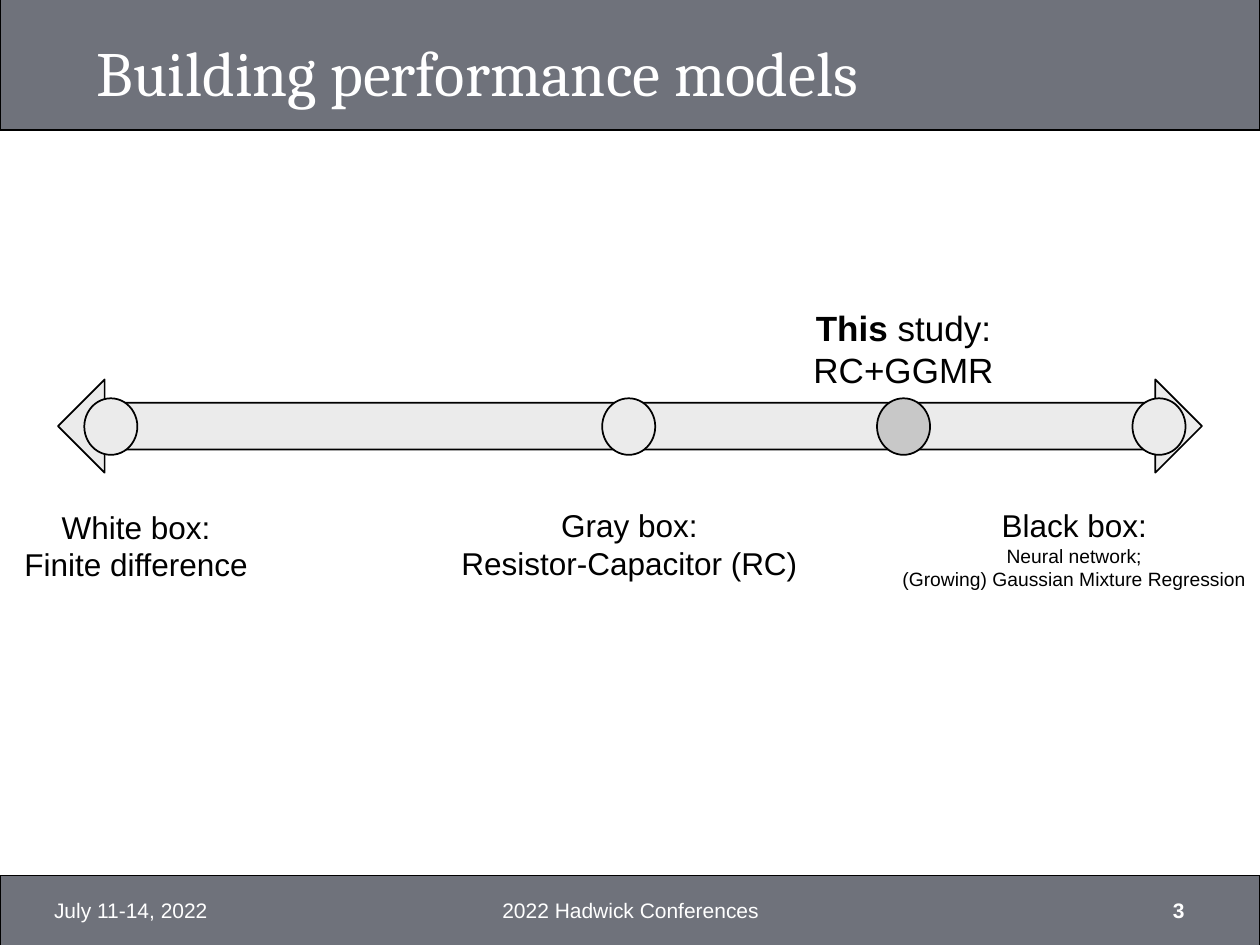
from pptx import Presentation
from pptx.dml.color import RGBColor
from pptx.enum.shapes import MSO_SHAPE
from pptx.enum.text import MSO_ANCHOR, MSO_AUTO_SIZE, PP_ALIGN
from pptx.util import Cm, Pt

BAND, PALE, STUDY = "6F727B", "EBEBEB", "C8C8C8"
BLACK, WHITE = "000000", "FFFFFF"
BREAK = None


def color(hex_code):
    return RGBColor.from_string(hex_code)


def add_outlined(slide, kind, left, top, width, height, fill):
    shape = slide.shapes.add_shape(kind, Cm(left), Cm(top), Cm(width), Cm(height))
    shape.shadow.inherit = False
    shape.fill.solid()
    shape.fill.fore_color.rgb = color(fill)
    shape.line.color.rgb = color(BLACK)
    shape.line.width = Pt(1)
    return shape


def add_run(paragraph, text, size, hex_code=BLACK, bold=False, font="Arial"):
    run = paragraph.add_run()
    run.text = text
    run.font.name = font
    run.font.size = Pt(size)
    run.font.bold = bold
    run.font.color.rgb = color(hex_code)


def add_text(slide, left, top, width, height, paragraphs, align=PP_ALIGN.CENTER,
             anchor=MSO_ANCHOR.TOP, hex_code=BLACK, wrap=True):
    """Each paragraph is a list of (text, size, bold) runs or BREAK."""
    frame = slide.shapes.add_textbox(
        Cm(left), Cm(top), Cm(width), Cm(height)).text_frame
    frame.word_wrap = wrap
    frame.vertical_anchor = anchor
    for index, runs in enumerate(paragraphs):
        paragraph = frame.add_paragraph() if index else frame.paragraphs[0]
        paragraph.alignment = align
        for part in runs:
            if part is BREAK:
                paragraph.add_line_break()
            else:
                text, size, bold = part
                add_run(paragraph, text, size, hex_code, bold)


def add_title(slide, text):
    title = slide.shapes.title
    title.left, title.top, title.width, title.height = (
        Cm(1.7), Cm(0.43), Cm(21.95), Cm(1.9))
    frame = title.text_frame
    frame.auto_size = MSO_AUTO_SIZE.NONE
    frame.vertical_anchor = MSO_ANCHOR.BOTTOM
    frame.paragraphs[0].alignment = PP_ALIGN.LEFT
    add_run(frame.paragraphs[0], text, 36, WHITE, font="Cambria")


def add_bands(slide):
    for top, height in ((17.65, 1.42), (-0.05, 2.67)):
        band = add_outlined(slide, MSO_SHAPE.RECTANGLE, 0, top, 25.4, height, BAND)
        # Keep the bands behind the title
        slide.shapes.title.element.addprevious(band.element)


def add_footer(slide):
    for left, width, text, align, bold in (
            (0.84, 5.92, "July 11-14, 2022", PP_ALIGN.LEFT, False),
            (18.21, 5.92, "3", PP_ALIGN.RIGHT, True),
            (8.69, 8.05, "2022 Hadwick Conferences", PP_ALIGN.CENTER, False)):
        add_text(slide, left, 17.83, width, 1.02, [[(text, 12, bold)]],
                 align, MSO_ANCHOR.MIDDLE, WHITE)


def add_spectrum(slide):
    # Axis from white box to black box
    add_outlined(slide, MSO_SHAPE.LEFT_RIGHT_ARROW, 1.17, 7.65, 23.06, 1.88, PALE)
    for left, fill in ((12.14, PALE), (1.7, PALE), (22.83, PALE), (17.68, STUDY)):
        add_outlined(slide, MSO_SHAPE.OVAL, left, 8.03, 1.07, 1.14, fill)

    # Model families below the axis
    add_text(slide, 0.13, 10.11, 5.23, 1.8, [
        [("White box:", 18, False)], [("Finite difference", 18, False)]])
    add_text(slide, 17.91, 10.08, 7.49, 1.96, [
        [("Black box:", 18, False)],
        [("Neural network;", 11, False)],
        [("(Growing) Gaussian Mixture Regression", 11, False)]])
    add_text(slide, 9.02, 10.08, 7.34, 1.8, [
        [("Gray box:", 18, False)], [("Resistor-Capacitor (RC)", 18, False)]],
        wrap=False)

    # Position of the study above the axis
    add_text(slide, 16.13, 6.05, 4.17, 1.96, [
        [("This", 20, True), (" study:", 20, False), BREAK, ("RC+GGMR", 20, False)]],
        wrap=False)


def main():
    deck = Presentation()
    deck.slide_width, deck.slide_height = Cm(25.4), Cm(19.05)
    slide = deck.slides.add_slide(deck.slide_layouts[5])
    add_bands(slide)
    add_title(slide, "Building performance models")
    add_footer(slide)
    add_spectrum(slide)
    deck.save("out.pptx")


main()
